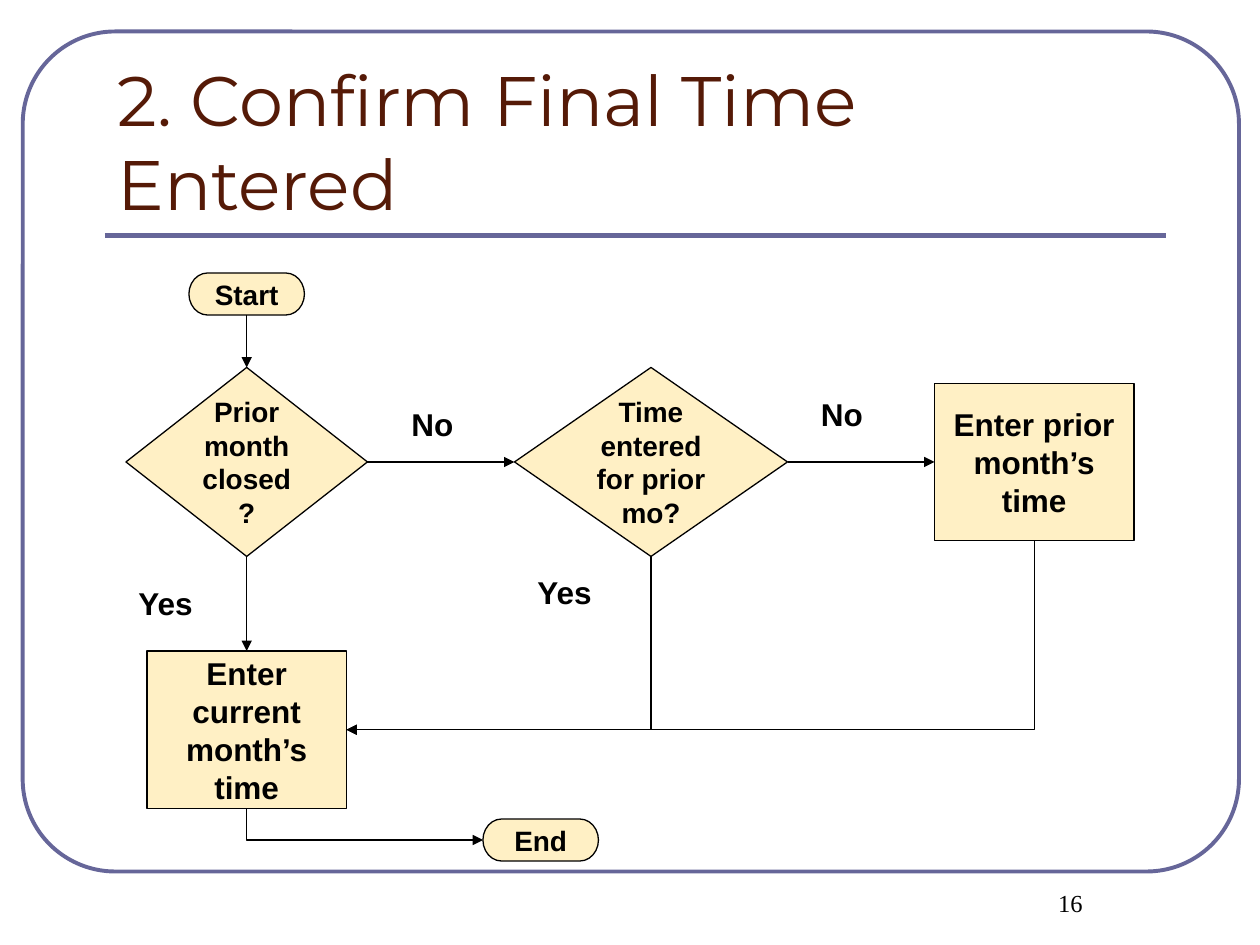
import pptx
import pptx.dml.color
import pptx.enum.shapes
import pptx.enum.text
import pptx.oxml
import pptx.oxml.ns
import pptx.util
from lxml import etree

Pt = pptx.util.Pt
qn = pptx.oxml.ns.qn
MSO_SHAPE = pptx.enum.shapes.MSO_SHAPE
MSO_CONNECTOR = pptx.enum.shapes.MSO_CONNECTOR
PP_ALIGN = pptx.enum.text.PP_ALIGN
MSO_ANCHOR = pptx.enum.text.MSO_ANCHOR
TOP, LEFT, BOTTOM, RIGHT = range(4)


def color(hex_value):
    return pptx.dml.color.RGBColor.from_string(hex_value)


def write(shape, text, font_format, frame_format, paragraph_format):
    """Put one paragraph into the shape and apply the three format dicts."""
    frame = shape.text_frame
    paragraph = frame.paragraphs[0]
    run = paragraph.add_run()
    run.text = text
    formats = (
        (frame, {"word_wrap": True, **frame_format}),
        (paragraph, paragraph_format),
        (run.font, {key: value for key, value in font_format.items() if key != "color"}),
    )
    for target, values in formats:
        for name, value in values.items():
            setattr(target, name, value)
    run.font.color.rgb = color(font_format.get("color", "000000"))


deck = pptx.Presentation()
deck.slide_width, deck.slide_height = Pt(720), Pt(540)
slide = deck.slides.add_slide(deck.slide_layouts[6])
shapes = slide.shapes

# Border, title and rule
border = shapes.add_shape(MSO_SHAPE.ROUNDED_RECTANGLE, Pt(13), Pt(18), Pt(695), Pt(480))
border.adjustments[0] = 0.11
border.shadow.inherit = False
border.fill.background()
border.line.color.rgb = color("666699")
border.line.width = Pt(2.25)

rule = shapes.add_connector(MSO_CONNECTOR.STRAIGHT, Pt(60), Pt(134.6), Pt(666), Pt(134.6))
rule.line.color.rgb = color("666699")
rule.line.width = Pt(3)
etree.SubElement(rule.element.spPr, qn("a:effectLst"))

title = shapes.add_textbox(Pt(60), Pt(42), Pt(606), Pt(90))
write(
    title,
    "2. Confirm Final Time Entered",
    {"size": Pt(40), "name": "Montserrat", "color": "551A07"},
    {"vertical_anchor": MSO_ANCHOR.BOTTOM},
    {"alignment": PP_ALIGN.LEFT},
)

# Flowchart steps: shape, width, height, text size, wrap
step_kinds = {
    "terminator": (MSO_SHAPE.FLOWCHART_TERMINATOR, 66, 24, 16, False),
    "decision": (MSO_SHAPE.FLOWCHART_DECISION, 138, 108, 16, True),
    "wide decision": (MSO_SHAPE.FLOWCHART_DECISION, 156, 108, 16, True),
    "process": (MSO_SHAPE.FLOWCHART_PROCESS, 114, 90, 18, True),
}
# Each step is placed by its centre
step_list = [
    ("month closed", "decision", 141, 264, "Prior month closed?"),
    ("time entered", "wide decision", 372, 264, "Time entered for prior mo?"),
    ("enter prior", "process", 591, 264, "Enter prior month’s time"),
    ("enter current", "process", 141, 417, "Enter current month’s time"),
    ("start", "terminator", 141, 168, "Start"),
    ("end", "terminator", 309, 480, "End"),
]
steps = {}
for key, kind, center_x, center_y, text in step_list:
    preset, width, height, size, wrap = step_kinds[kind]
    step = shapes.add_shape(
        preset, Pt(center_x - width / 2), Pt(center_y - height / 2), Pt(width), Pt(height)
    )
    step.shadow.inherit = False
    step.fill.solid()
    step.fill.fore_color.rgb = color("FFF0C5")
    step.line.color.rgb = color("000000")
    step.line.width = Pt(0.75)
    write(
        step,
        text,
        {"size": Pt(size), "name": "Arial", "bold": True},
        {"vertical_anchor": MSO_ANCHOR.MIDDLE, "word_wrap": wrap},
        {"alignment": PP_ALIGN.CENTER},
    )
    steps[key] = step

# Arrows between the steps
flows = [
    ("start", BOTTOM, "month closed", TOP),
    ("month closed", RIGHT, "time entered", LEFT),
    ("time entered", RIGHT, "enter prior", LEFT),
    ("month closed", BOTTOM, "enter current", TOP),
    ("time entered", BOTTOM, "enter current", RIGHT),
    ("enter prior", BOTTOM, "enter current", RIGHT),
    ("enter current", BOTTOM, "end", LEFT),
]
for source, source_side, target, target_side in flows:
    turns = source_side == BOTTOM and target_side != TOP
    arrow = shapes.add_connector(
        MSO_CONNECTOR.ELBOW if turns else MSO_CONNECTOR.STRAIGHT, 0, 0, 0, 0
    )
    arrow.begin_connect(steps[source], source_side)
    arrow.end_connect(steps[target], target_side)
    arrow.line.color.rgb = color("000000")
    arrow.line.width = Pt(0.75)
    properties = arrow.element.spPr
    etree.SubElement(properties.find(qn("a:ln")), qn("a:tailEnd"), type="triangle")
    etree.SubElement(properties, qn("a:effectLst"))
    if turns:
        # One corner: down first, then sideways, as a rotated bentConnector2
        run_x = arrow.end_x - arrow.begin_x
        drop = arrow.end_y - arrow.begin_y
        middle_x = (arrow.begin_x + arrow.end_x) // 2
        middle_y = (arrow.begin_y + arrow.end_y) // 2
        properties.find(qn("a:prstGeom")).set("prst", "bentConnector2")
        transform = properties.find(qn("a:xfrm"))
        transform.set("rot", str((90 if run_x < 0 else 270) * 60000))
        transform.set("flipH", "0" if run_x < 0 else "1")
        transform.set("flipV", "0")
        arrow.left, arrow.top = middle_x - drop // 2, middle_y - abs(run_x) // 2
        arrow.width, arrow.height = drop, abs(run_x)

# Answers beside the arrows
for answer, left, top in [
    ("No", 228, 228),
    ("No", 462, 222),
    ("Yes", 72, 330),
    ("Yes", 300, 324),
]:
    label = shapes.add_textbox(Pt(left), Pt(top), Pt(52.5), Pt(29))
    write(
        label,
        answer,
        {"size": Pt(18), "name": "Arial", "bold": True},
        {"auto_size": pptx.enum.text.MSO_AUTO_SIZE.SHAPE_TO_FIT_TEXT},
        {"space_before": Pt(11.2)},
    )

page_number = shapes.add_textbox(Pt(540), Pt(504), Pt(126), Pt(36))
write(
    page_number,
    "16",
    {"size": Pt(14), "name": "Times New Roman"},
    {"margin_left": Pt(24.5)},
    {"alignment": PP_ALIGN.CENTER},
)

deck.save("out.pptx")
